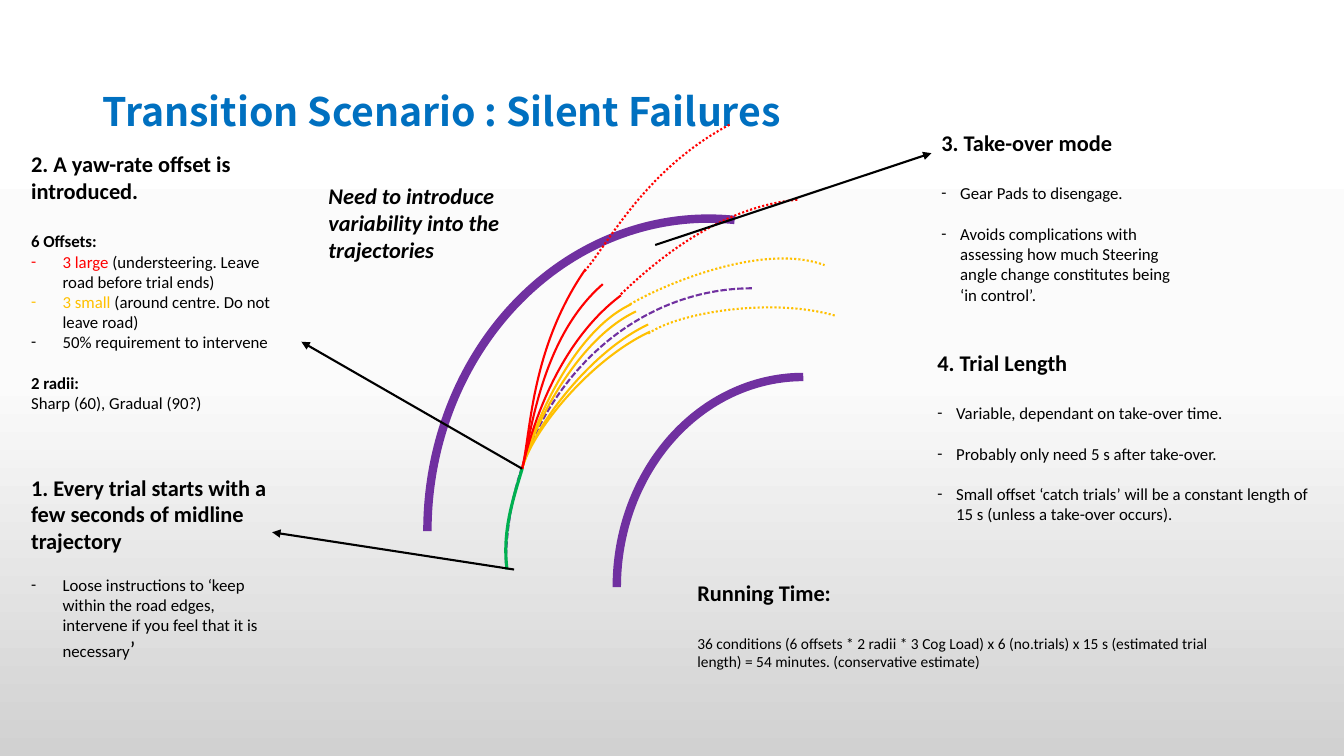
from copy import deepcopy
from dataclasses import dataclass
from typing import Any, NamedTuple

from lxml import etree
from pptx import Presentation
from pptx.dml.color import RGBColor
from pptx.enum.dml import MSO_LINE
from pptx.enum.shapes import MSO_CONNECTOR, MSO_SHAPE
from pptx.enum.text import MSO_ANCHOR, MSO_AUTO_SIZE, PP_ALIGN
from pptx.oxml.ns import qn
from pptx.util import Pt

ARC = MSO_SHAPE.ARC
STRAIGHT = MSO_CONNECTOR.STRAIGHT
SOLID, DASHED, DOTTED = MSO_LINE.SOLID, MSO_LINE.SQUARE_DOT, MSO_LINE.ROUND_DOT
DASHED = MSO_LINE.SQUARE_DOT
LEFT, MIDDLE = PP_ALIGN.LEFT, MSO_ANCHOR.MIDDLE
FIXED, GROW = MSO_AUTO_SIZE.NONE, MSO_AUTO_SIZE.SHAPE_TO_FIT_TEXT

BLACK = RGBColor(0x00, 0x00, 0x00)
BLUE = RGBColor(0x00, 0x70, 0xC0)
PURPLE = RGBColor(0x70, 0x30, 0xA0)
GREEN = RGBColor(0x00, 0xB0, 0x50)
AMBER = RGBColor(0xFF, 0xC0, 0x00)
RED = RGBColor(0xFF, 0x00, 0x00)
BACKGROUND = ((0, RGBColor(0xFF, 0xFF, 0xFF)), (0.5, RGBColor(0xFB, 0xFB, 0xFB)),
              (1, RGBColor(0xD1, 0xD1, 0xD1)))

TITLE_FORMAT = {"name": "Noto Sans CJK JP", "size": Pt(28), "bold": True}
BODY = {"name": "Calibri", "size": Pt(12), "bold": False}
STRONG = BODY | {"bold": True}
HEADING = STRONG | {"size": Pt(16)}
CALLOUT = HEADING | {"italic": True}
SMALL = BODY | {"size": Pt(11)}
GAP, WIDE_GAP = 14.6, 19.5
WIDE_INDENT, NARROW_INDENT = 22.5, 13.5

Point = tuple[float, float]


class Piece(NamedTuple):
    text: str
    format: dict[str, Any] = BODY
    color: RGBColor = BLACK


@dataclass
class Line:
    pieces: list[Piece]
    before: float = 0
    indent: float = 0


@dataclass
class Note:
    box: tuple[float, float, float, float]
    lines: list[Line]


@dataclass
class RoadArc:
    box: tuple[float, float, float, float]
    start_angle: float = 162
    width: float = 6
    dash: MSO_LINE = SOLID


@dataclass
class Curve:
    points: list[Point]
    color: RGBColor
    width: float = 1.5
    dash: MSO_LINE = SOLID


def heading(text: str) -> Line:
    return Line([Piece(text, HEADING)])


def bullet(text: str, before: float = 0, indent: float = NARROW_INDENT) -> Line:
    return Line([Piece(text)], before, indent)


NOTES = [
    Note((15.1, 334.8, 190.8, 162.7), [
        heading("1. Every trial starts with a few seconds of midline trajectory"),
        Line([Piece("Loose instructions to ‘keep within the road edges, intervene if you "
                    "feel that it is necessary"),
              Piece("’", BODY | {"size": Pt(16)})], GAP, WIDE_INDENT)]),
    Note((15.1, 103.7, 190.8, 196.6), [
        heading("2. A yaw-rate offset is introduced."),
        Line([Piece("6 Offsets:", STRONG)], WIDE_GAP),
        Line([Piece("3 large ", color=RED),
              Piece("(understeering. Leave road before trial ends)")], 0, WIDE_INDENT),
        Line([Piece("3 small ", color=AMBER),
              Piece("(around centre. Do not leave road)")], 0, WIDE_INDENT),
        bullet("50% requirement to intervene", 0, WIDE_INDENT),
        Line([Piece("2 radii:", STRONG)], GAP),
        Line([Piece("Sharp (60), Gradual (90?)")])]),
    Note((665.3, 88.6, 190.8, 147.6), [
        heading("3. Take-over mode"),
        bullet("Gear Pads to disengage.", WIDE_GAP),
        bullet("Avoids complications with assessing how much Steering angle change "
               "constitutes being ‘in control’.", GAP)]),
    Note((662.4, 245.5, 281.5, 147.6), [
        heading("4. Trial Length"),
        bullet("Variable, dependant on take-over time.", WIDE_GAP),
        bullet("Probably only need 5 s after take-over.", GAP),
        bullet("Small offset ‘catch trials’ will be a constant length of 15 s "
               "(unless a take-over occurs).", GAP)]),
    Note((491, 410.4, 387.4, 74.9), [
        heading("Running Time:"),
        Line([Piece("36 conditions (6 offsets * 2 radii * 3 Cog Load) x 6 (no.trials) x 15 s "
                    "(estimated trial length) = 54 minutes. (conservative estimate)", SMALL)],
             WIDE_GAP)]),
    Note((227.5, 126.7, 190.8, 65.5), [
        Line([Piece("Need to introduce variability into the trajectories", CALLOUT)])]),
]

ROAD_ARCS = [
    RoadArc((440.6, 269.3, 266.4, 300.2)),
    RoadArc((305.3, 156.2, 401.8, 446.4), 159.14),
    RoadArc((361.4, 205.9, 351.4, 396.7), width=1.5, dash=DASHED),
]

ONSET = (373, 334.8)
OFFSETS = [
    (AMBER, (379.4, 308.9), (421.2, 257), (464.4, 236.9)),
    (AMBER, (379.4, 308.2), (419.8, 252), (463, 231.8)),
    (AMBER, (379.4, 308.2), (411.1, 242.6), (454.3, 222.5)),
    (AMBER, (378.7, 309.6), (407.5, 237.6), (450.7, 217.4)),
    (RED, (378.7, 309.6), (396.7, 246.2), (443.5, 211)),
    (RED, (379.4, 309.6), (386.6, 241.2), (430.6, 203)),
    (RED, (379.4, 307.4), (379.4, 248.4), (418.3, 192.2)),
]
CONTINUATIONS = [
    (AMBER, (450, 217.4), (473, 203.8), (544.3, 172.8), (589, 189.4)),
    (AMBER, (463, 238.3), (484.6, 223.2), (550.8, 212.4), (596.2, 225.4)),
    (RED, (417.6, 193.7), (434.9, 173.5), (461.5, 120.2), (522, 88.6)),
    (RED, (443.5, 210.2), (463, 191.5), (511.2, 147.6), (570.2, 142.6)),
]
CURVES = [
    Curve([(362.2, 406.8), (358.6, 380.2), (366.5, 356.4), ONSET], GREEN, 2.25),
    *(Curve([ONSET, *points], color) for color, *points in OFFSETS),
    *(Curve(points, color, dash=DOTTED) for color, *points in CONTINUATIONS),
]
ARROWS = [((367.2, 406.8), (194.4, 380.2)), (ONSET, (215.3, 244.1)),
          ((468, 175), (665.3, 109.4))]


def apply_format(target: Any, values: dict[str, Any]) -> None:
    for name, value in values.items():
        setattr(target, name, value)


def add_piece(paragraph: Any, piece: Piece) -> None:
    run = paragraph.add_run()
    run.text = piece.text
    apply_format(run.font, piece.format)
    run.font.color.rgb = piece.color


def style_line(line: Any, color: RGBColor, width: float, dash: MSO_LINE = SOLID) -> None:
    line.color.rgb = color
    apply_format(line, {"width": Pt(width), "dash_style": dash})


def paint_background(slide: Any) -> None:
    fill = slide.background.fill
    fill.gradient()
    fill.gradient_angle = 270
    stops = slide.element.find(".//" + qn("a:gsLst"))
    stops.insert(1, deepcopy(stops[0]))
    for stop, (position, color) in zip(fill.gradient_stops, BACKGROUND):
        stop.position = position
        stop.color.rgb = color


def add_title(slide: Any) -> None:
    title = slide.shapes.title
    apply_format(title, {"left": Pt(66.2), "top": Pt(28.8), "width": Pt(828), "height": Pt(104.4)})
    apply_format(title.text_frame, {"vertical_anchor": MIDDLE, "auto_size": FIXED})
    paragraph = title.text_frame.paragraphs[0]
    apply_format(paragraph, {"alignment": LEFT, "line_spacing": 0.9})
    add_piece(paragraph, Piece("Transition Scenario : Silent Failures", TITLE_FORMAT, BLUE))


def add_note(slide: Any, note: Note) -> None:
    frame = slide.shapes.add_textbox(*map(Pt, note.box)).text_frame
    apply_format(frame, {"word_wrap": True, "auto_size": GROW})
    for index, line in enumerate(note.lines):
        paragraph = frame.add_paragraph() if index else frame.paragraphs[0]
        paragraph.space_before = Pt(line.before)
        for piece in line.pieces:
            add_piece(paragraph, piece)
        if line.indent:
            properties = paragraph._p.get_or_add_pPr()
            properties.set("marL", str(Pt(line.indent)))
            properties.set("indent", str(-Pt(line.indent)))
            etree.SubElement(properties, qn("a:buFont"), typeface="Calibri")
            etree.SubElement(properties, qn("a:buChar"), char="-")


def add_road_arc(slide: Any, arc: RoadArc) -> None:
    shape = slide.shapes.add_shape(ARC, *map(Pt, arc.box))
    shape.adjustments[0] = arc.start_angle
    shape.element.spPr.find(qn("a:xfrm")).set("flipH", "1")
    shape.shadow.inherit = False
    shape.fill.background()
    style_line(shape.line, PURPLE, arc.width, arc.dash)


def add_curve(slide: Any, curve: Curve) -> None:
    start, *controls = [(Pt(x), Pt(y)) for x, y in curve.points]
    builder = slide.shapes.build_freeform(*start)
    builder.add_line_segments(controls, close=False)
    shape = builder.convert_to_shape()
    segments = list(shape.element.iter(qn("a:lnTo")))
    bezier = etree.SubElement(segments[0].getparent(), qn("a:cubicBezTo"))
    for segment in segments:
        bezier.append(segment[0])
        segment.getparent().remove(segment)
    shape.shadow.inherit = False
    shape.fill.background()
    style_line(shape.line, curve.color, curve.width, curve.dash)


def add_arrow(slide: Any, start: Point, end: Point) -> None:
    arrow = slide.shapes.add_connector(STRAIGHT, *map(Pt, (*start, *end)))
    style_line(arrow.line, BLACK, 1.5)
    etree.SubElement(arrow.line._get_or_add_ln(), qn("a:tailEnd"), type="triangle")
    etree.SubElement(arrow.element.spPr, qn("a:effectLst"))


def main() -> None:
    presentation = Presentation()
    apply_format(presentation, {"slide_width": Pt(960), "slide_height": Pt(540)})
    slide = presentation.slides.add_slide(presentation.slide_layouts.get_by_name("Title Only"))
    paint_background(slide)
    add_title(slide)
    for arc in ROAD_ARCS:
        add_road_arc(slide, arc)
    for curve in CURVES:
        add_curve(slide, curve)
    for start, end in ARROWS:
        add_arrow(slide, start, end)
    for note in NOTES:
        add_note(slide, note)
    presentation.save("out.pptx")


if __name__ == "__main__":
    main()
